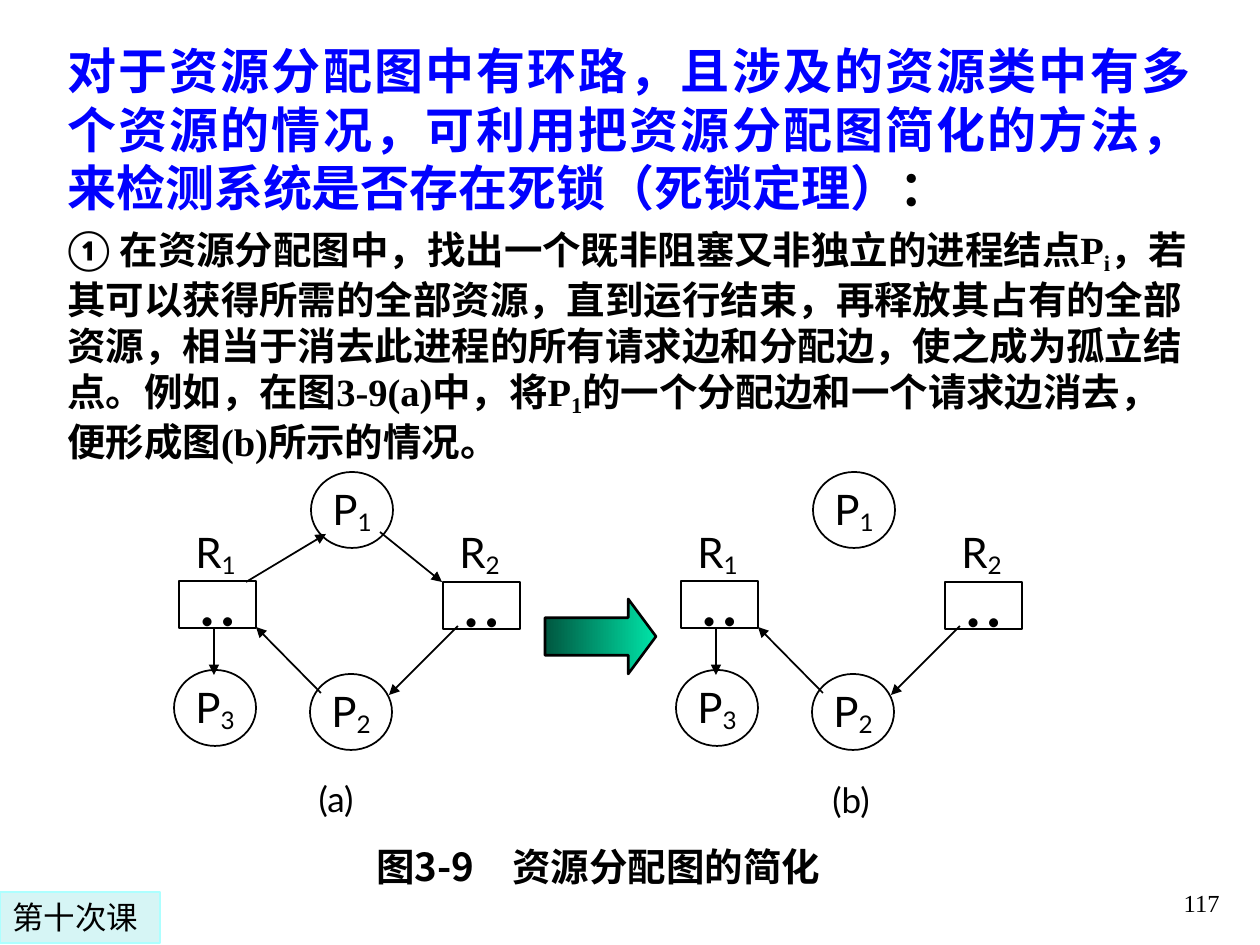
from lxml import etree
from pptx import Presentation
from pptx.dml.color import RGBColor
from pptx.enum.shapes import MSO_CONNECTOR, MSO_SHAPE
from pptx.enum.text import MSO_ANCHOR, PP_ALIGN
from pptx.oxml.ns import qn
from pptx.util import Pt

LEFT, CENTER, RIGHT, JUSTIFY = PP_ALIGN.LEFT, PP_ALIGN.CENTER, PP_ALIGN.RIGHT, PP_ALIGN.JUSTIFY
TOP, MIDDLE, BOTTOM = MSO_ANCHOR.TOP, MSO_ANCHOR.MIDDLE, MSO_ANCHOR.BOTTOM
OVAL, RECTANGLE, RIGHT_ARROW = MSO_SHAPE.OVAL, MSO_SHAPE.RECTANGLE, MSO_SHAPE.RIGHT_ARROW
STRAIGHT = MSO_CONNECTOR.STRAIGHT

EMU_PER_PX = 914400 / 126
BLACK, BLUE = "000000", "0101FF"
SANS, SERIF, CJK, LABEL = "Lato", "Times New Roman", "Noto Sans CJK SC", "DejaVu Sans"

# Runs: (text, subscript baseline in percent)
HEADING = "对于资源分配图中有环路，且涉及的资源类中有多个资源的情况，可利用把资源分配图简化的方法，来检测系统是否存在死锁（死锁定理）"
STEP = [
    ("在资源分配图中，找出一个既非阻塞又非独立的进程结点P", 0),
    ("i", -18),
    ("，若其可以获得所需的全部资源，直到运行结束，再释放其占有的全部资源，"
     "相当于消去此进程的所有请求边和分配边，使之成为孤立结点。例如，在图3-9(a)中，将P", 0),
    ("1", -18),
    ("的一个分配边和一个请求边消去，便形成图(b)所示的情况。", 0),
]

# Graph (a), in px; graph (b) is the same one moved right, without the edges of P1
PROCESSES = [("1", 311, 472), ("2", 310, 674), ("3", 174, 670)]
RESOURCES = [("1", 179, 581), ("2", 443, 582)]
P1_EDGES = [((246, 582), (326, 534)), ((380, 532), (442, 582))]
OTHER_EDGES = [
    ((214, 629), (214, 675)),
    ((321, 693), (256, 627)),
    ((458, 626), (389, 695)),
]
GRAPHS = [
    ("(a)", (270, 771), 0, P1_EDGES + OTHER_EDGES),
    ("(b)", (785, 772), 502, OTHER_EDGES),
]


def px(length):
    return round(length * EMU_PER_PX)


def color(value):
    return RGBColor.from_string(value)


def add_span(para, text, size, font=SANS, east_asian=None, ink=BLACK, bold=False, baseline=0):
    span = para.add_run()
    span.text = text
    span.font.size = Pt(size)
    span.font.name = font
    span.font.bold = bold
    span.font.color.rgb = color(ink)
    properties = span._r.get_or_add_rPr()
    etree.SubElement(properties, qn("a:ea")).set("typeface", east_asian or font)
    if baseline:
        properties.set("baseline", str(baseline * 1000))


def add_box(page, left, top, width, height, align=LEFT, anchor=TOP):
    """Add a wrapping text box and return its first paragraph."""
    box = page.shapes.add_textbox(px(left), px(top), px(width), px(height))
    frame = box.text_frame
    frame.word_wrap = True
    frame.vertical_anchor = anchor
    frame.paragraphs[0].alignment = align
    return frame.paragraphs[0]


def add_shape(page, kind, left, top, width, height, line=BLACK, weight=1):
    shape = page.shapes.add_shape(kind, px(left), px(top), px(width), px(height))
    shape.shadow.inherit = False
    shape.fill.background()
    shape.line.color.rgb = color(line)
    shape.line.width = Pt(weight)
    return shape


def add_node(page, kind, left, top, width, height, anchor):
    """Add an outlined graph node and return its centred paragraph."""
    frame = add_shape(page, kind, left, top, width, height).text_frame
    frame.margin_left = frame.margin_right = px(8)
    frame.margin_top = px(1) if anchor == MIDDLE else 0
    frame.margin_bottom = px(1)
    frame.word_wrap = False
    frame.vertical_anchor = anchor
    frame.paragraphs[0].alignment = CENTER
    return frame.paragraphs[0]


def add_symbol(para, letter, index):
    add_span(para, letter, 24)
    add_span(para, index, 24, baseline=-16)


def add_edge(page, start, end, shift):
    edge = page.shapes.add_connector(
        STRAIGHT, px(start[0] + shift), px(start[1]), px(end[0] + shift), px(end[1]))
    edge.line.color.rgb = color(BLACK)
    edge.line.width = Pt(1)
    etree.SubElement(edge.line._get_or_add_ln(), qn("a:tailEnd")).set("type", "triangle")
    etree.SubElement(edge._element.spPr, qn("a:effectLst"))


def add_graph(page, caption, caption_at, shift, edges):
    add_span(add_box(page, *caption_at, 132, 54, CENTER), caption, 20)
    for index, left, top in RESOURCES:
        dots = add_node(page, RECTANGLE, left + shift, top, 77, 47, TOP)
        add_span(dots, "• •", 24, baseline=-16)
        add_symbol(add_box(page, left + shift - 19, 520, 111, 63, CENTER), "R", index)
    for index, left, top in PROCESSES:
        add_symbol(add_node(page, OVAL, left + shift, top, 82, 76, MIDDLE), "P", index)
    for start, end in edges:
        add_edge(page, start, end, shift)


def add_explanation(page):
    heading = add_box(page, 55, 34, 1148, 436, JUSTIFY)
    add_span(heading, HEADING, 28, ink=BLUE, bold=True)
    add_span(heading, "：", 28, bold=True)
    step = heading._parent.add_paragraph()
    step.alignment = LEFT
    step.space_before = Pt(5.5)
    add_span(step, "① ", 22, bold=True)
    for text, baseline in STEP:
        add_span(step, text, 22, SERIF, SANS, bold=True, baseline=baseline)


def add_simplify_arrow(page):
    arrow = add_shape(page, RIGHT_ARROW, 545, 599, 111, 75, weight=1.5)
    arrow.adjustments[0] = 0.5
    arrow.adjustments[1] = 0.37
    arrow.fill.gradient()
    arrow.fill.gradient_angle = 0
    for stop, shade in zip(arrow.fill.gradient_stops, ("005740", "00E4A8")):
        stop.color.rgb = color(shade)


def add_lesson_label(page):
    label = add_shape(page, RECTANGLE, 0, 892, 160, 51, "ADFFFF", 0.75)
    label.fill.solid()
    label.fill.fore_color.rgb = color("D6F5F5")
    label.text_frame.vertical_anchor = TOP
    para = label.text_frame.paragraphs[0]
    para.alignment = LEFT
    add_span(para, "第十次课", 18, LABEL)


def main():
    deck = Presentation()
    deck.slide_width, deck.slide_height = px(1260), px(945)
    page = deck.slides.add_slide(deck.slide_layouts[6])
    add_span(add_box(page, 970, 861, 262, 63, RIGHT, BOTTOM), "117", 14, SERIF)
    add_explanation(page)
    add_span(add_box(page, 304, 837, 588, 59, CENTER), "图3-9　资源分配图的简化", 22, CJK, bold=True)
    for graph in GRAPHS:
        add_graph(page, *graph)
    add_simplify_arrow(page)
    add_lesson_label(page)
    deck.save("out.pptx")


if __name__ == "__main__":
    main()
